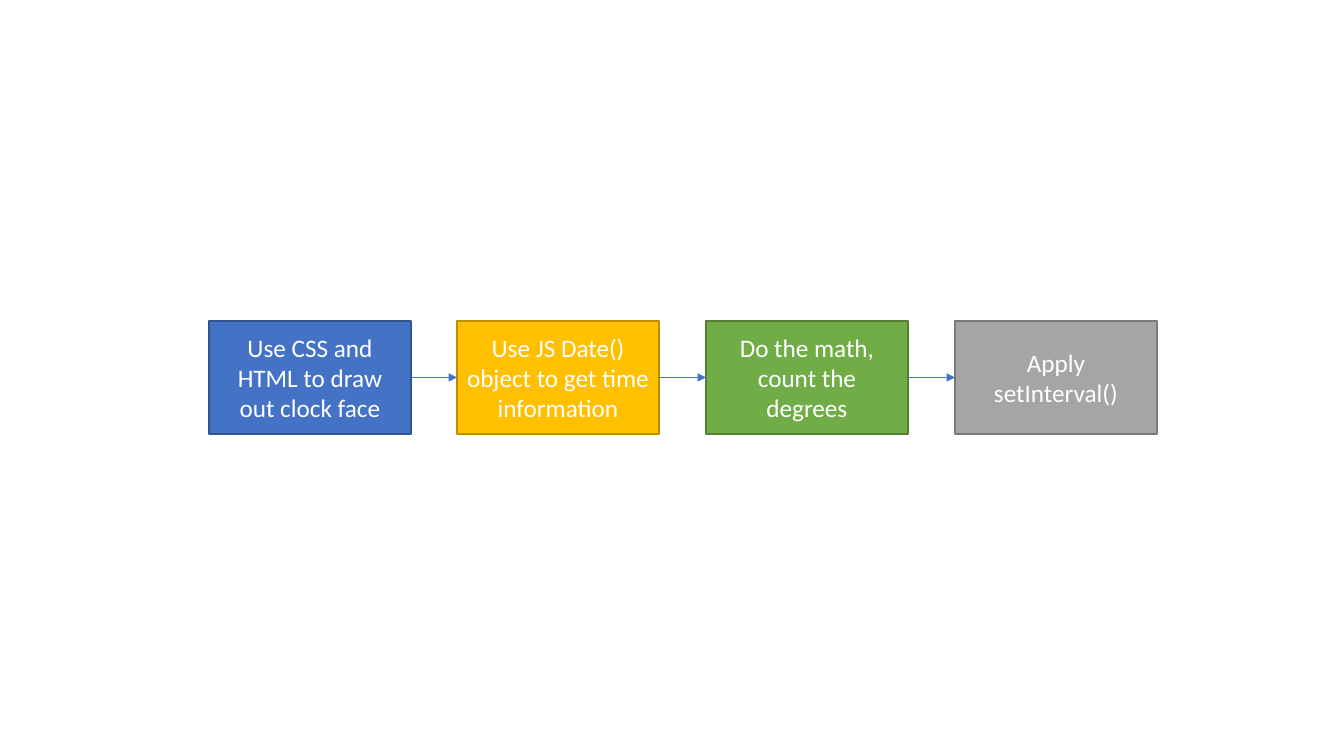
import dataclasses

import lxml.etree
import pptx
import pptx.dml.color
import pptx.enum.shapes
import pptx.enum.text
import pptx.oxml.ns
import pptx.shapes.autoshape
import pptx.slide
import pptx.util

PIXELS_PER_INCH = 100.8
SLIDE_WIDTH, SLIDE_HEIGHT = 1344, 756
STEP_WIDTH, STEP_HEIGHT = 202, 113
FIRST_LEFT, LAST_LEFT = 209, 955
STEP_TOP = (SLIDE_HEIGHT - STEP_HEIGHT) // 2
RIGHT_SITE, LEFT_SITE = 3, 1

COLORS = {
    "blue": "4472C4",
    "dark blue": "325491",
    "gold": "FFC000",
    "dark gold": "BD8E00",
    "green": "70AD47",
    "dark green": "538035",
    "gray": "A5A5A5",
    "dark gray": "7A7A7A",
    "white": "FFFFFF",
}


@dataclasses.dataclass(frozen=True)
class Step:
    text: str
    color: str


STEPS = [
    Step("Use CSS and HTML to draw out clock face", "blue"),
    Step("Use JS Date() object to get time information", "gold"),
    Step("Do the math, count the degrees", "green"),
    Step("Apply setInterval()", "gray"),
]


def emu(pixels: int) -> pptx.util.Emu:
    return pptx.util.Inches(pixels / PIXELS_PER_INCH)


def rgb(name: str) -> pptx.dml.color.RGBColor:
    return pptx.dml.color.RGBColor.from_string(COLORS[name])


def draw_step(slide: pptx.slide.Slide, step: Step, left: int) -> pptx.shapes.autoshape.Shape:
    shape = slide.shapes.add_shape(
        pptx.enum.shapes.MSO_SHAPE.RECTANGLE,
        emu(left), emu(STEP_TOP), emu(STEP_WIDTH), emu(STEP_HEIGHT),
    )
    shape.shadow.inherit = False
    shape.fill.solid()
    shape.fill.fore_color.rgb = rgb(step.color)
    shape.line.color.rgb = rgb(f"dark {step.color}")
    shape.line.width = pptx.util.Pt(1)
    frame = shape.text_frame
    frame.word_wrap = True
    frame.vertical_anchor = pptx.enum.text.MSO_ANCHOR.MIDDLE
    paragraph = frame.paragraphs[0]
    paragraph.text = step.text
    paragraph.alignment = pptx.enum.text.PP_ALIGN.CENTER
    paragraph.font.name = "Calibri"
    paragraph.font.size = pptx.util.Pt(18)
    paragraph.font.color.rgb = rgb("white")
    return shape


def draw_arrow(
    slide: pptx.slide.Slide,
    source: pptx.shapes.autoshape.Shape,
    target: pptx.shapes.autoshape.Shape,
) -> None:
    connector = slide.shapes.add_connector(pptx.enum.shapes.MSO_CONNECTOR.STRAIGHT, 0, 0, 0, 0)
    connector.begin_connect(source, RIGHT_SITE)
    connector.end_connect(target, LEFT_SITE)
    connector.line.color.rgb = rgb("blue")
    connector.line.width = pptx.util.Pt(0.5)
    properties = connector.element.spPr
    outline = properties.find(pptx.oxml.ns.qn("a:ln"))
    lxml.etree.SubElement(outline, pptx.oxml.ns.qn("a:tailEnd"), type="triangle")
    lxml.etree.SubElement(properties, pptx.oxml.ns.qn("a:effectLst"))


presentation = pptx.Presentation()
presentation.slide_width = emu(SLIDE_WIDTH)
presentation.slide_height = emu(SLIDE_HEIGHT)
slide = presentation.slides.add_slide(presentation.slide_layouts[6])

boxes = [
    draw_step(slide, step, FIRST_LEFT + (LAST_LEFT - FIRST_LEFT) * index // (len(STEPS) - 1))
    for index, step in enumerate(STEPS)
]
for source, target in zip(boxes, boxes[1:]):
    draw_arrow(slide, source, target)

presentation.save("out.pptx")
